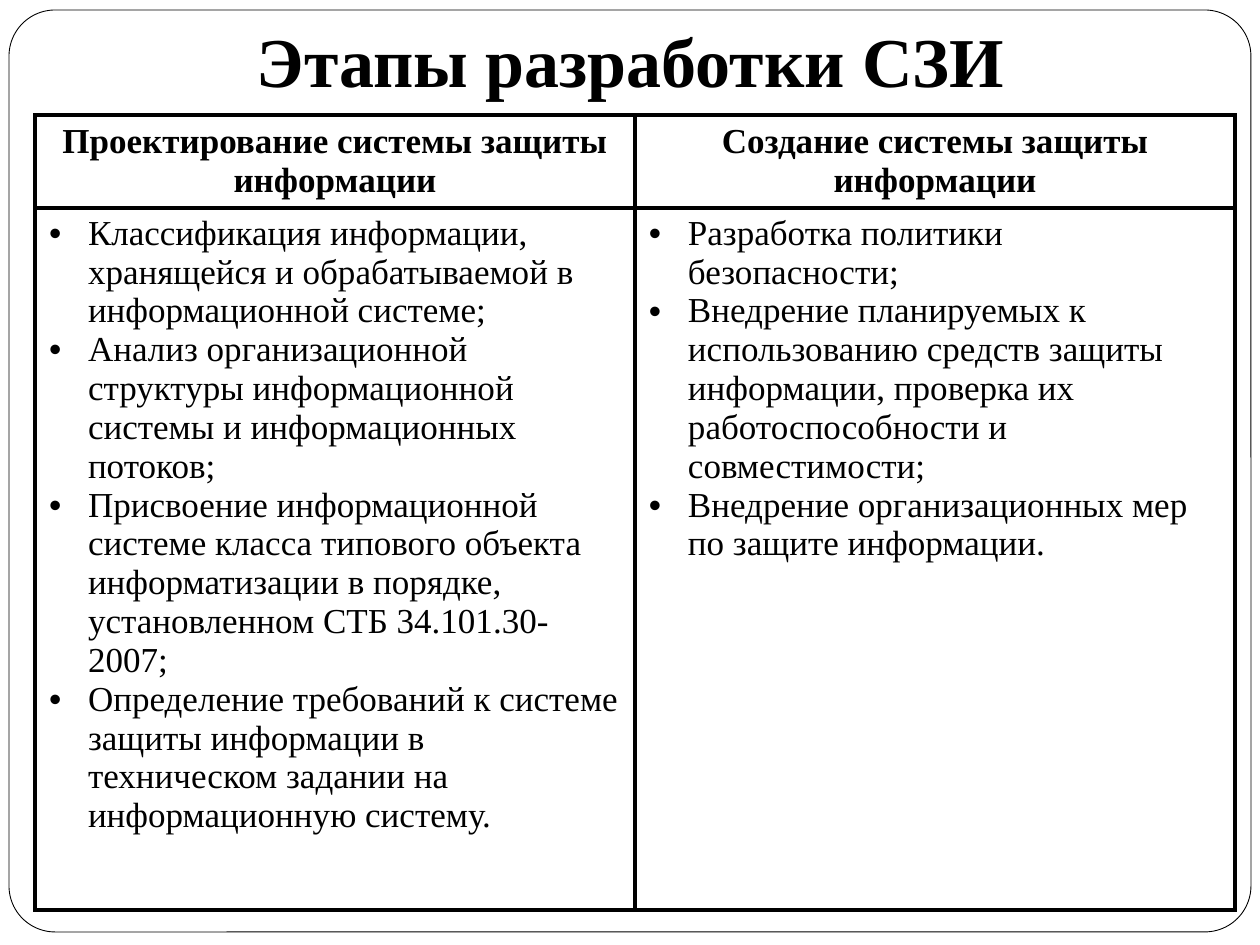
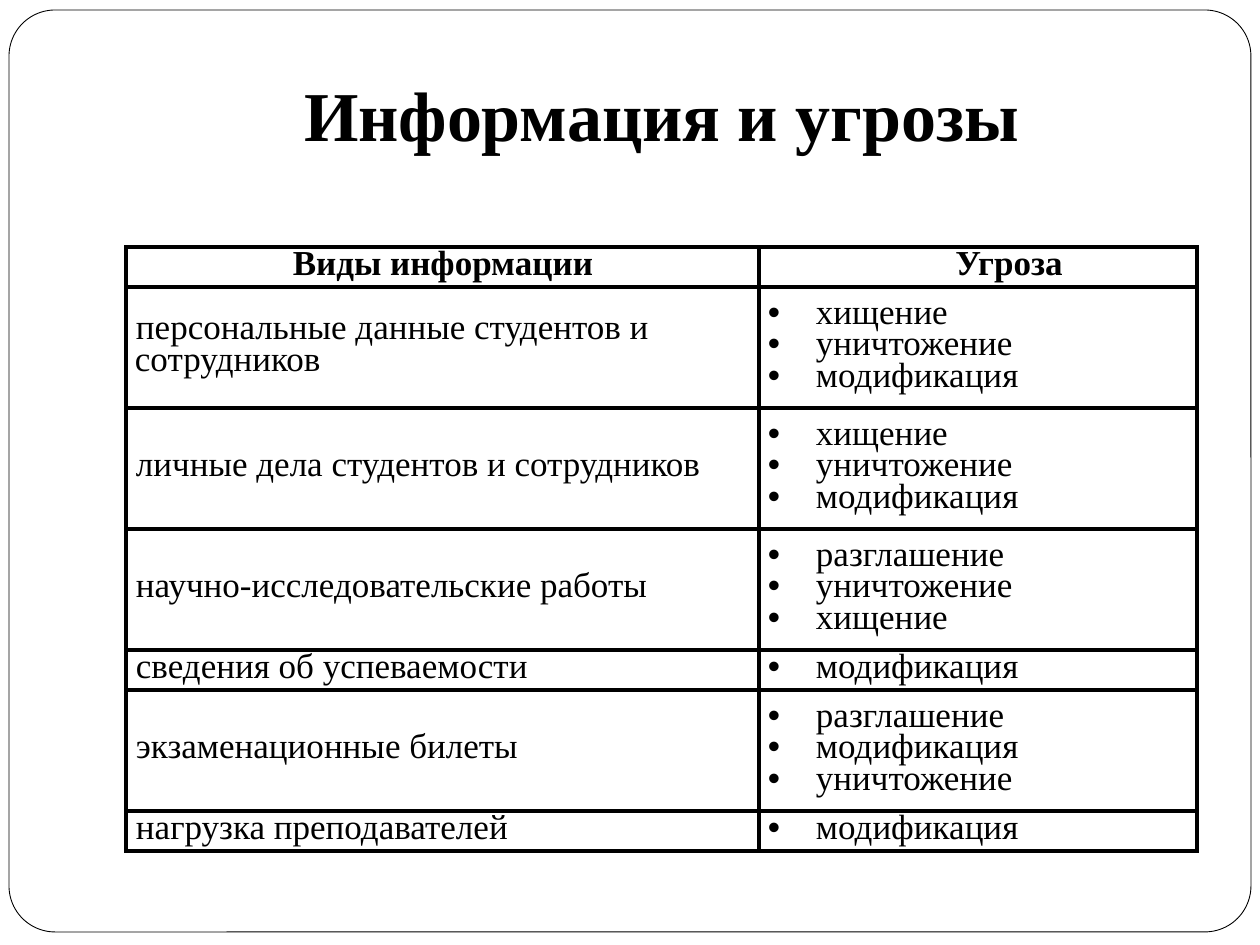
import pptx
import pptx.dml.color
import pptx.enum.shapes
import pptx.enum.text
import pptx.oxml
import pptx.oxml.ns
import pptx.util

ALIGN = pptx.enum.text.PP_ALIGN
ANCHOR = pptx.enum.text.MSO_ANCHOR
BLACK = pptx.dml.color.RGBColor(0x00, 0x00, 0x00)
WHITE = pptx.dml.color.RGBColor(0xFF, 0xFF, 0xFF)
FONT = "Times New Roman"
TITLE_FONT = {"name": FONT, "size": pptx.util.Pt(40), "bold": True}
HEAD_FONT = {"name": FONT, "size": pptx.util.Pt(20), "bold": True}
BODY_FONT = {**HEAD_FONT, "bold": False}
BORDER_WIDTH = pptx.util.Pt(2.25)
TIGHT_SPACING = pptx.util.Pt(18)

STAGES = {
    "Проектирование системы защиты информации": [
        "Классификация информации, хранящейся и обрабатываемой в информационной системе;",
        "Анализ организационной структуры информационной системы и информационных потоков;",
        "Присвоение информационной системе класса типового объекта информатизации "
        "в порядке, установленном СТБ 34.101.30-2007;",
        "Определение требований к системе защиты информации в техническом задании "
        "на информационную систему.",
    ],
    "Создание системы защиты информации": [
        "Разработка политики безопасности;",
        "Внедрение планируемых к использованию средств защиты информации, "
        "проверка их работоспособности и совместимости;",
        "Внедрение организационных мер по защите информации.",
    ],
}

THREATS = [
    ("персональные данные студентов и сотрудников", ALIGN.LEFT,
     ["хищение", "уничтожение", "модификация"]),
    ("личные дела студентов и сотрудников", ALIGN.LEFT,
     ["хищение", "уничтожение", "модификация"]),
    ("научно-исследовательские работы", ALIGN.LEFT,
     ["разглашение", "уничтожение", "хищение"]),
    ("сведения об успеваемости", ALIGN.LEFT, ["модификация"]),
    ("экзаменационные билеты", ALIGN.JUSTIFY,
     ["разглашение", "модификация", "уничтожение"]),
    ("нагрузка преподавателей", ALIGN.JUSTIFY, ["модификация"]),
]


def px(length):
    """Turn a length in px (126 to the inch) into EMU."""
    return pptx.util.Emu(round(length * 914400 / 126))


def set_attributes(target, values):
    for name, value in values.items():
        setattr(target, name, value)


def set_font(font, values):
    set_attributes(font, values)
    font.color.rgb = BLACK


def add_page(deck, title, top, left, anchor):
    """Add a slide with the rounded frame behind its title."""
    page = deck.slides.add_slide(deck.slide_layouts[5])
    frame = page.shapes.add_shape(
        pptx.enum.shapes.MSO_SHAPE.ROUNDED_RECTANGLE, px(9), px(10), px(1242), px(922))
    frame.adjustments[0] = 0.05
    frame.shadow.inherit = False
    frame.fill.solid()
    frame.fill.fore_color.rgb = WHITE
    frame.line.color.rgb = BLACK
    frame.line.width = pptx.util.Pt(0.5)

    box = page.shapes.title
    box.element.addprevious(frame.element)
    set_attributes(box, {"left": px(left), "top": px(top),
                         "width": px(1071), "height": px(158)})
    set_attributes(box.text_frame, {
        "text": title, "vertical_anchor": anchor, "word_wrap": True,
        "auto_size": pptx.enum.text.MSO_AUTO_SIZE.NONE,
        "margin_left": px(13), "margin_right": px(13),
        "margin_top": px(6), "margin_bottom": px(13)})
    para = box.text_frame.paragraphs[0]
    para.alignment = ALIGN.CENTER
    set_font(para.runs[0].font, TITLE_FONT)
    return page


def add_borders(cell):
    properties = cell._tc.get_or_add_tcPr()
    for side in ("lnL", "lnR", "lnT", "lnB"):
        properties.append(pptx.oxml.parse_xml(
            f'<a:{side} {pptx.oxml.ns.nsdecls("a")} w="{BORDER_WIDTH}">'
            f'<a:solidFill><a:srgbClr val="{BLACK}"/></a:solidFill></a:{side}>'))


def add_table(page, left, top, widths, heights, margins):
    """Add an unfilled, bordered table; margins are (side, top and bottom) in px."""
    table = page.shapes.add_table(
        len(heights), len(widths), px(left), px(top),
        px(sum(widths)), px(sum(heights))).table
    set_attributes(table, {"first_row": False, "horz_banding": False})
    for column, width in zip(table.columns, widths):
        column.width = px(width)
    for row, height in zip(table.rows, heights):
        row.height = px(height)
    side, end = map(px, margins)
    for cell in table.iter_cells():
        add_borders(cell)
        cell.fill.background()
        set_attributes(cell, {"margin_left": side, "margin_right": side,
                              "margin_top": end, "margin_bottom": end})
    return table


def fill_cell(cell, lines, font=BODY_FONT, anchor=ANCHOR.MIDDLE, indent=(0, 0),
              bullet=False, **para_format):
    """Write one paragraph a line; indent is (left margin, first line) in px."""
    cell.vertical_anchor = anchor
    cell.text_frame.text = "\n".join(lines)
    for para in cell.text_frame.paragraphs:
        set_attributes(para, para_format)
        set_font(para.runs[0].font, font)
        properties = para._p.get_or_add_pPr()
        for name, length in zip(("marL", "indent"), indent):
            properties.set(name, str(px(length)))
        if bullet:
            for tag in ('buFont typeface="Arial"', 'buChar char="•"'):
                properties.append(pptx.oxml.parse_xml(
                    f'<a:{tag} {pptx.oxml.ns.nsdecls("a")}/>'))


def add_stages_page(deck):
    page = add_page(deck, "Этапы разработки СЗИ", -43, 95, ANCHOR.BOTTOM)
    table = add_table(page, 35, 115, [600, 600], [93, 702], (13, 6))
    for column, (stage, tasks) in enumerate(STAGES.items()):
        fill_cell(table.cell(0, column), [stage], HEAD_FONT, alignment=ALIGN.CENTER)
        fill_cell(table.cell(1, column), tasks, anchor=ANCHOR.TOP,
                  indent=(40, -39), bullet=True, level=1, alignment=ALIGN.LEFT)


def add_threats_page(deck):
    page = add_page(deck, "Информация и угрозы", 38, 126, ANCHOR.MIDDLE)
    heights = [40] + [40 if len(threats) == 1 else 121 for _, _, threats in THREATS]
    table = add_table(page, 126, 247, [633, 438], heights, (9, 0))
    for column, (heading, first_line) in enumerate([("Виды информации", 1), ("Угроза", 62)]):
        fill_cell(table.cell(0, column), [heading], HEAD_FONT, indent=(0, first_line),
                  alignment=ALIGN.CENTER, line_spacing=TIGHT_SPACING)
    for row, (information, alignment, threats) in enumerate(THREATS, start=1):
        fill_cell(table.cell(row, 0), [information], indent=(0, 1),
                  alignment=alignment, line_spacing=TIGHT_SPACING)
        fill_cell(table.cell(row, 1), threats, indent=(48, -48), bullet=True,
                  alignment=ALIGN.LEFT, line_spacing=TIGHT_SPACING)


def main():
    deck = pptx.Presentation()
    set_attributes(deck, {"slide_width": px(1260), "slide_height": px(945)})
    add_stages_page(deck)
    add_threats_page(deck)
    deck.save("out.pptx")


if __name__ == "__main__":
    main()
